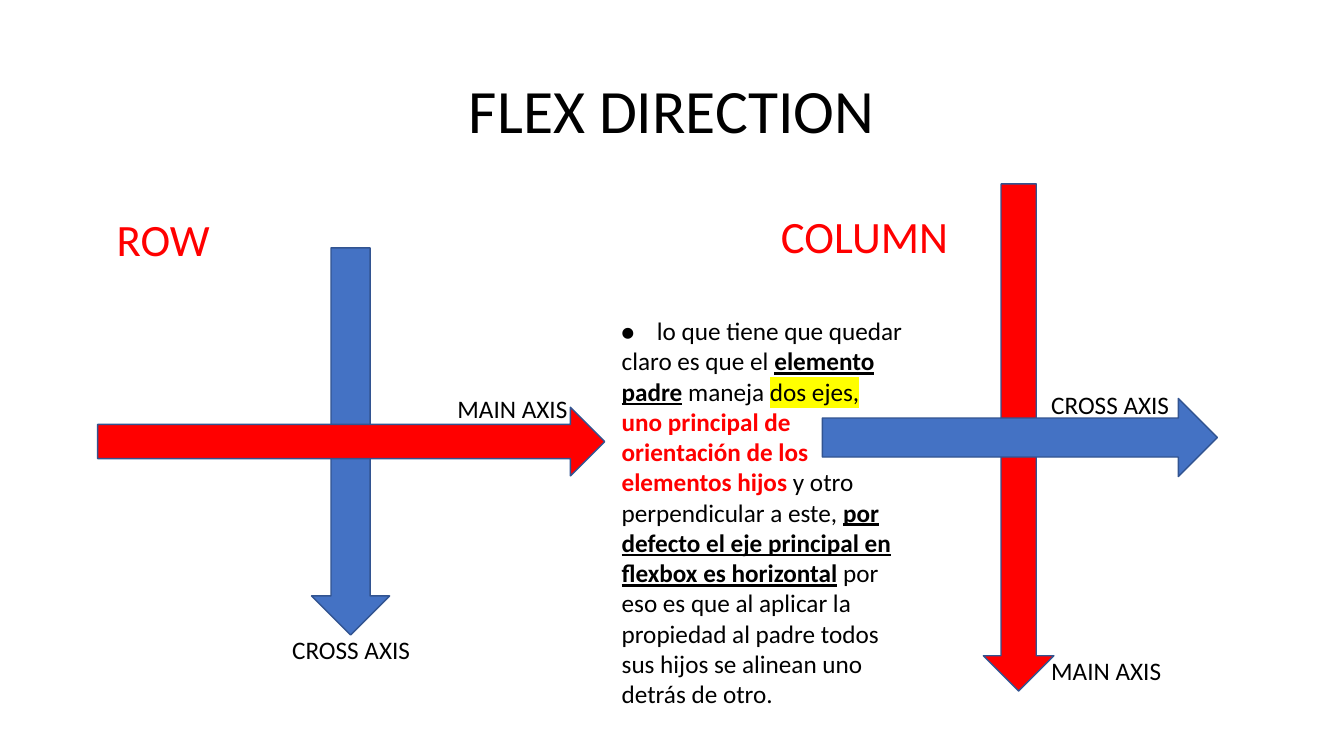
from lxml import etree
from pptx import Presentation
from pptx.dml.color import RGBColor
from pptx.enum.shapes import MSO_SHAPE as Preset
from pptx.enum.text import MSO_ANCHOR as Anchor, MSO_AUTO_SIZE as AutoSize, PP_ALIGN as Align
from pptx.oxml.ns import qn
from pptx.util import Pt

COLORS = {
    "text": "000000",
    "main": "FF0000",
    "cross": "4472C4",
    "outline": "325491",
    "marker": "FFFF00",
}


def rgb(name):
    return RGBColor.from_string(COLORS[name])


def add_span(para, text, size, color="text", **font_format):
    span = para.add_run()
    span.text = text
    span.font.name = "Calibri"
    span.font.size = Pt(size)
    span.font.color.rgb = rgb(color)
    for attribute, value in font_format.items():
        setattr(span.font, attribute, value)
    return span


deck = Presentation()
deck.slide_width, deck.slide_height = Pt(960), Pt(540)
page = deck.slides.add_slide(deck.slide_layouts[5])

# Title
title = page.shapes.title
title_place = {"left": 66, "top": 28.8, "width": 828, "height": 104.4}
for attribute, value in title_place.items():
    setattr(title, attribute, Pt(value))
title.text_frame.vertical_anchor = Anchor.MIDDLE
title_para = title.text_frame.paragraphs[0]
title_para.alignment = Align.CENTER
title_para.line_spacing = 0.9
add_span(title_para, "FLEX DIRECTION", 44)

# Each direction: crossed axis arrows, then its heading
directions = [
    ("ROW", 76.3, 147.6, [
        ("cross", Preset.DOWN_ARROW, 0, 222.5, 177.1, 55.8, 276.5),
        ("main", Preset.RIGHT_ARROW, 0, 69.8, 290.9, 362.2, 49),
    ]),
    ("COLUMN", 550.8, 145.4, [
        ("main", Preset.RIGHT_ARROW, 90, 546.5, 287.3, 362.2, 50.4),
        ("cross", Preset.DOWN_ARROW, 270, 700.6, 171.4, 55.8, 282.2),
    ]),
]
labels = []
for heading, left, top, arrows in directions:
    axes = page.shapes.add_group_shape()
    for color, preset, rotation, *place in arrows:
        arrow = axes.shapes.add_shape(preset, *map(Pt, place))
        arrow.rotation = rotation
        arrow.shadow.inherit = False
        arrow.fill.solid()
        arrow.fill.fore_color.rgb = rgb(color)
        arrow.line.color.rgb = rgb("outline")
        arrow.line.width = Pt(1)
    labels.append((left, top, 216, 46, [(heading, 32, "main", {})]))

# Axis names
labels += [
    (left, top, width, 29, [(name, 18, "text", {})])
    for name, left, top, width in [
        ("MAIN AXIS", 319.7, 277.2, 113),
        ("MAIN AXIS", 743.8, 464.4, 216),
        ("CROSS AXIS", 201.6, 449.3, 216),
        ("CROSS AXIS", 743.8, 274.3, 146.9),
    ]
]

# Explanation
strong = {"bold": True, "underline": True}
explanation = [
    ("⦁\tlo que tiene que quedar claro es que el ", "text", {}),
    ("elemento padre", "text", strong),
    (" maneja ", "text", {}),
    ("dos ejes,", "text", {}),
    (" ", "text", {}),
    ("uno principal de orientación de los elementos hijos", "main", {"bold": True}),
    (" y otro perpendicular a este, ", "text", {}),
    ("por defecto el eje principal en flexbox es horizontal", "text", strong),
    (" por eso es que al aplicar la propiedad al padre todos "
     "sus hijos se alinean uno detrás de otro.", "text", {}),
]
labels.append((437, 221.8, 216, 312.5,
               [(text, 18, color, style) for text, color, style in explanation]))

# Text boxes
for left, top, width, height, spans in labels:
    box = page.shapes.add_textbox(Pt(left), Pt(top), Pt(width), Pt(height))
    box.text_frame.word_wrap = True
    box.text_frame.auto_size = AutoSize.SHAPE_TO_FIT_TEXT
    para = box.text_frame.paragraphs[0]
    written = [add_span(para, text, size, color, **style)
               for text, size, color, style in spans]

# Tab stop after the bullet and marker on the two axes, in the last box
tabs = etree.SubElement(para._p.get_or_add_pPr(), qn("a:tabLst"))
etree.SubElement(tabs, qn("a:tab"), pos=str(Pt(25.2)), algn="l")
marked = written[3].font._element if hasattr(written[3].font, "_element") else written[3]._r.rPr
highlight = etree.Element(qn("a:highlight"))
etree.SubElement(highlight, qn("a:srgbClr"), val=COLORS["marker"])
marked.find(qn("a:solidFill")).addnext(highlight)

deck.save("out.pptx")
